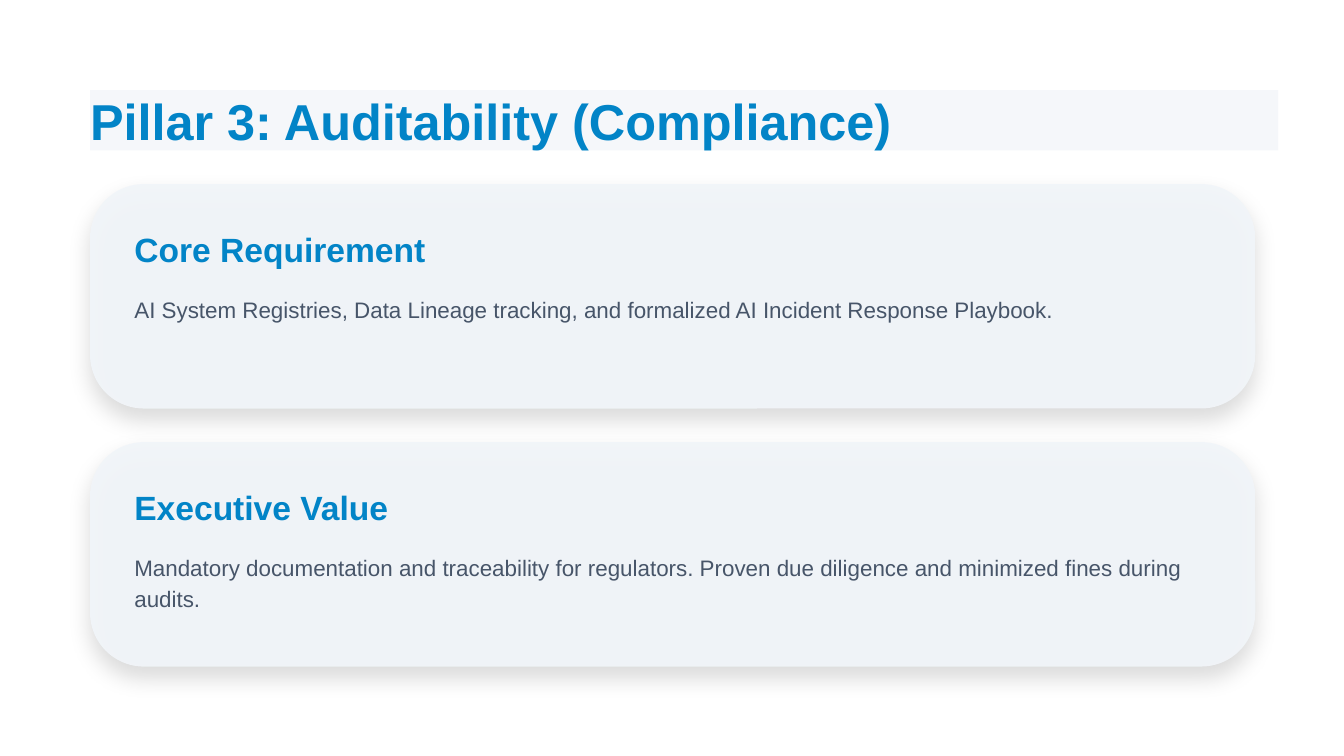
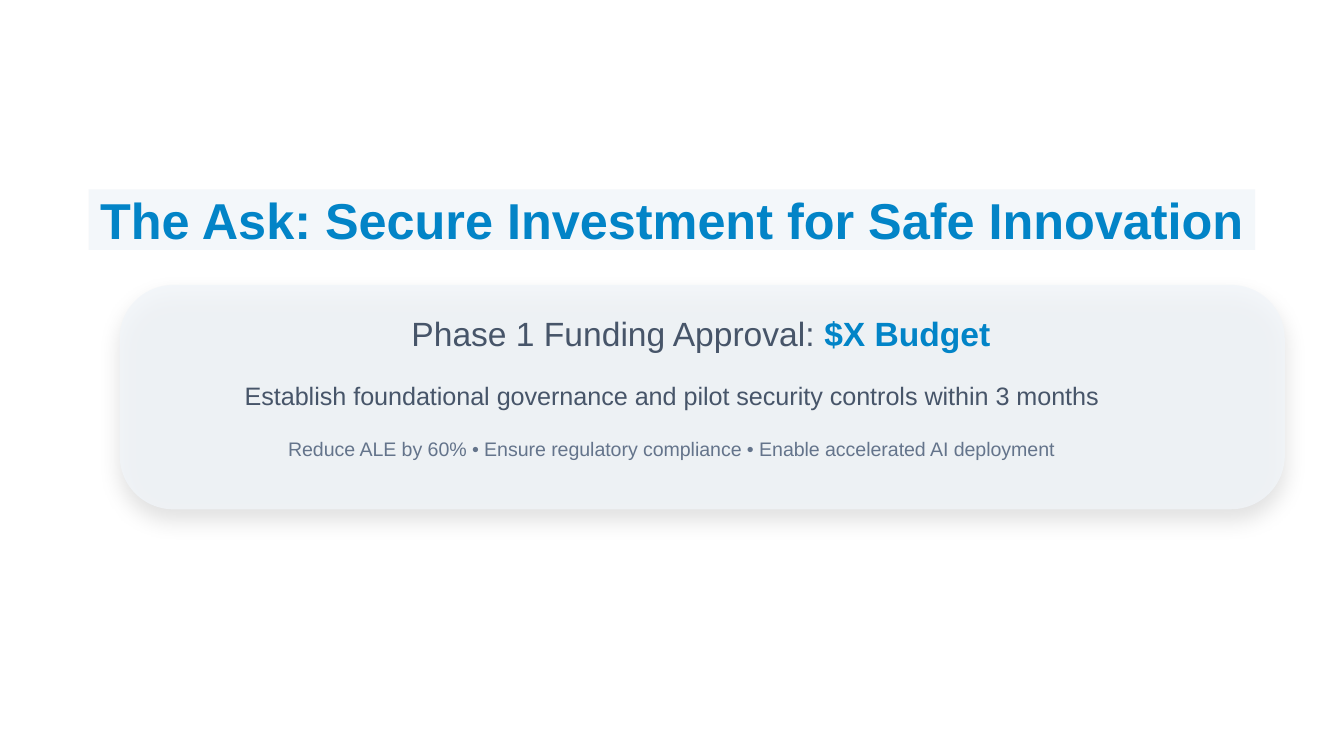
from dataclasses import dataclass

from lxml.etree import SubElement
from pptx import Presentation
from pptx.dml.color import RGBColor
from pptx.enum.shapes import MSO_SHAPE
from pptx.enum.text import MSO_ANCHOR, MSO_AUTO_SIZE, PP_ALIGN
from pptx.oxml.ns import qn
from pptx.presentation import Presentation as PresentationType
from pptx.shapes.autoshape import Shape
from pptx.slide import Slide
from pptx.util import Inches, Pt

# Shared style
COLORS = {
    "background": "FFFFFF",
    "panel": "F1F5F9",
    "accent": "0284C7",
    "body": "475569",
    "muted": "64748B",
    "shadow": "000000",
}
FONT = "Arial"
SLIDE_WIDTH = 10
SLIDE_HEIGHT = SLIDE_WIDTH * 9 / 16
TITLE_ONLY_LAYOUT = 5
TITLE_HEIGHT = 0.45
CARD_WIDTH, CARD_HEIGHT = 8.67, 1.67
CARD_ROUNDING = 0.24


@dataclass(frozen=True)
class Box:
    left: float
    top: float
    width: float
    height: float


@dataclass(frozen=True)
class TextRun:
    text: str
    color: str = "body"
    bold: bool = False


@dataclass(frozen=True)
class TextLine:
    box: Box
    runs: tuple[TextRun, ...]
    size: float
    line_spacing: float
    alignment: PP_ALIGN = PP_ALIGN.LEFT


@dataclass(frozen=True)
class PillarCard:
    heading: str
    description: str
    description_width: float
    description_height: float


def rgb(name: str) -> RGBColor:
    return RGBColor.from_string(COLORS[name])


def fill_panel(shape: Shape, opacity: int) -> None:
    """Give a shape the translucent panel fill."""
    shape.fill.solid()
    shape.fill.fore_color.rgb = rgb("panel")
    color = next(shape._element.spPr.iter(qn("a:srgbClr")))
    SubElement(color, qn("a:alpha"), val=str(opacity * 1000))


def add_soft_shadow(shape: Shape) -> None:
    shape.shadow.inherit = False
    effects = shape._element.spPr.find(qn("a:effectLst"))
    shadow = SubElement(
        effects, qn("a:outerShdw"), blurRad=str(Pt(12)), dist=str(Pt(6)),
        dir=str(90 * 60000), algn="ctr", rotWithShape="0",
    )
    color = SubElement(shadow, qn("a:srgbClr"), val=COLORS["shadow"])
    SubElement(color, qn("a:alpha"), val=str(15 * 1000))


def write_line(shape: Shape, line: TextLine) -> None:
    frame = shape.text_frame
    frame.margin_left = frame.margin_right = Inches(0)
    frame.margin_top = frame.margin_bottom = Inches(0)
    frame.vertical_anchor = MSO_ANCHOR.TOP
    frame.auto_size = MSO_AUTO_SIZE.NONE
    frame.word_wrap = True
    paragraph = frame.paragraphs[0]
    paragraph.alignment = line.alignment
    paragraph.line_spacing = Pt(line.line_spacing)
    for text_run in line.runs:
        run = paragraph.add_run()
        run.text = text_run.text
        run.font.name = FONT
        run.font.size = Pt(line.size)
        run.font.bold = text_run.bold
        run.font.color.rgb = rgb(text_run.color)


def add_text(slide: Slide, line: TextLine) -> None:
    box = line.box
    shape = slide.shapes.add_textbox(
        Inches(box.left), Inches(box.top), Inches(box.width), Inches(box.height))
    write_line(shape, line)


def add_card(slide: Slide, left: float, top: float, opacity: int) -> None:
    card = slide.shapes.add_shape(
        MSO_SHAPE.ROUNDED_RECTANGLE, Inches(left), Inches(top),
        Inches(CARD_WIDTH), Inches(CARD_HEIGHT))
    card.adjustments[0] = CARD_ROUNDING
    fill_panel(card, opacity)
    card.line.fill.background()
    add_soft_shadow(card)


def add_titled_slide(presentation: PresentationType, text: str, box: Box,
                     opacity: int, alignment: PP_ALIGN) -> Slide:
    slide = presentation.slides.add_slide(
        presentation.slide_layouts[TITLE_ONLY_LAYOUT])
    slide.background.fill.solid()
    slide.background.fill.fore_color.rgb = rgb("background")
    title = slide.shapes.title
    title.left, title.top = Inches(box.left), Inches(box.top)
    title.width, title.height = Inches(box.width), Inches(box.height)
    fill_panel(title, opacity)
    write_line(title, TextLine(
        box, (TextRun(text, "accent", True),), 27, 32.4, alignment))
    return slide


# Slide 1: auditability pillar
def build_auditability_slide(presentation: PresentationType) -> None:
    slide = add_titled_slide(
        presentation, "Pillar 3: Auditability (Compliance)",
        Box(0.67, 0.67, 8.84, TITLE_HEIGHT), 70, PP_ALIGN.LEFT)
    cards = (
        PillarCard(
            "Core Requirement",
            "AI System Registries, Data Lineage tracking, and formalized "
            "AI Incident Response Playbook.", 8.16, 0.23),
        PillarCard(
            "Executive Value",
            "Mandatory documentation and traceability for regulators. Proven "
            "due diligence and minimized fines during audits.", 8, 0.47),
    )
    first_top, card_gap, text_left = 1.37, 0.25, 1
    for index, card in enumerate(cards):
        top = first_top + index * (CARD_HEIGHT + card_gap)
        add_card(slide, 0.67, top, 95)
        add_text(slide, TextLine(
            Box(text_left, top + 0.33, 8.16, 0.3),
            (TextRun(card.heading, "accent", True),), 18, 21.6))
        add_text(slide, TextLine(
            Box(text_left, top + 0.8, card.description_width,
                card.description_height),
            (TextRun(card.description),), 12, 16.8))


# Slide 2: funding request
def build_funding_slide(presentation: PresentationType) -> None:
    slide = add_titled_slide(
        presentation, "The Ask: Secure Investment for Safe Innovation",
        Box(0.66, 1.41, 8.68, TITLE_HEIGHT), 80, PP_ALIGN.CENTER)
    add_card(slide, 0.89, 2.12, 80)
    lines = (
        TextLine(
            Box(3.02, 2.28, 4.39, 0.35),
            (TextRun("Phase 1 Funding Approval: "),
             TextRun("$X Budget", "accent", True)),
            18, 25.2, PP_ALIGN.CENTER),
        TextLine(
            Box(1.74, 2.79, 6.52, 0.26),
            (TextRun("Establish foundational governance and pilot security "
                     "controls within 3 months"),),
            13.5, 18.9, PP_ALIGN.CENTER),
        TextLine(
            Box(2.07, 3.22, 5.86, 0.2),
            (TextRun("Reduce ALE by 60% • Ensure regulatory compliance • "
                     "Enable accelerated AI deployment", "muted"),),
            10.5, 14.7, PP_ALIGN.CENTER),
    )
    for line in lines:
        add_text(slide, line)


def main() -> None:
    presentation = Presentation()
    presentation.slide_width = Inches(SLIDE_WIDTH)
    presentation.slide_height = Inches(SLIDE_HEIGHT)
    build_auditability_slide(presentation)
    build_funding_slide(presentation)
    presentation.save("out.pptx")


if __name__ == "__main__":
    main()
